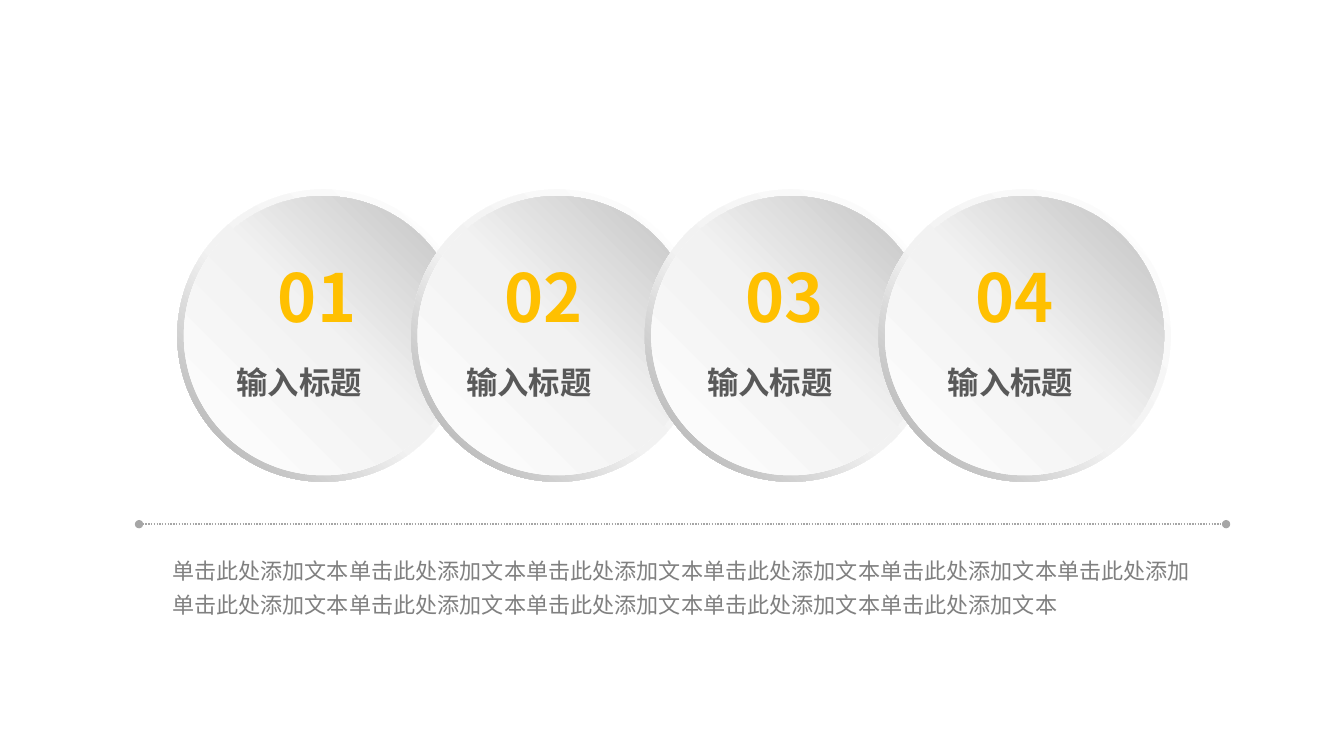
from copy import deepcopy
from dataclasses import dataclass

from lxml.etree import SubElement
from pptx import Presentation
from pptx.dml.color import RGBColor
from pptx.enum.dml import MSO_LINE
from pptx.enum.shapes import MSO_CONNECTOR, MSO_SHAPE
from pptx.enum.text import MSO_AUTO_SIZE
from pptx.oxml.ns import qn
from pptx.util import Inches, Pt


@dataclass(frozen=True)
class Theme:
    font: str = "Noto Sans CJK SC"
    number: str = "FFC000"
    label: str = "595959"
    body: str = "808080"
    rule: str = "A6A6A6"
    rim: tuple = ((0, "FFFFFF"), (0.55, "F2F2F2"), (1, "A6A6A6"))
    face: tuple = ((0, "FFFFFF"), (0.51, "F2F2F2"), (1, "BFBFBF"))
    number_size: float = 47.4
    label_size: float = 22.4
    body_size: float = 15.8


THEME = Theme()
DISC = 2.9
DISC_STEP = 2.32
STEPS = [
    ("01", "输入标题", 0.9, 0.49),
    ("02", "输入标题", 0.83, 0.45),
    ("03", "输入标题", 0.9, 0.52),
    ("04", "输入标题", 0.86, 0.59),
]
PHRASE = "单击此处添加文本"
BODY = [PHRASE * 5 + "单击此处添加", PHRASE * 5]


def add_round(group, kind, box, stops, angle):
    disc = group.shapes.add_shape(kind, *map(Inches, box))
    disc.shadow.inherit = False
    disc.line.fill.background()
    disc.fill.gradient()
    stop_list = disc.element.spPr.find(".//" + qn("a:gsLst"))
    stop_list.insert(1, deepcopy(stop_list[0]))
    for stop, (position, color) in zip(disc.fill.gradient_stops, stops):
        stop.position = position
        stop.color.rgb = RGBColor.from_string(color)
    disc.fill.gradient_angle = angle
    return disc


def add_text(slide, box, lines, size, color, bold=False, spacing=1.0, wrap=True):
    frame = slide.shapes.add_textbox(*map(Inches, box)).text_frame
    frame.word_wrap = wrap
    frame.auto_size = MSO_AUTO_SIZE.SHAPE_TO_FIT_TEXT
    for index, line in enumerate(lines):
        paragraph = frame.add_paragraph() if index else frame.paragraphs[0]
        paragraph.line_spacing = spacing
        run = paragraph.add_run()
        run.text = line
        run.font.size = Pt(size)
        run.font.bold = bold
        run.font.name = THEME.font
        run.font.color.rgb = RGBColor.from_string(color)
        SubElement(run.font._element, qn("a:ea"), typeface=THEME.font)


def add_disc(slide, left, top, size):
    group = slide.shapes.add_group_shape()
    rim = add_round(group, MSO_SHAPE.DONUT, (left, top, size, size), THEME.rim, 225)
    rim.adjustments[0] = 0.049
    inset = 0.065
    face_size = size - 2 * inset
    face = (left + inset, top + inset, face_size, face_size)
    add_round(group, MSO_SHAPE.OVAL, face, THEME.face, 45)


def add_caption(slide, left, top, step):
    number, label, number_offset, label_offset = step
    add_text(slide, (left + number_offset, top + 0.61, 1.02, 0.9), [number],
             THEME.number_size, THEME.number, bold=True, wrap=False)
    add_text(slide, (left + label_offset, top + 1.58, 1.8, 0.57), [label],
             THEME.label_size, THEME.label, bold=True, spacing=1.25)


def add_steps(slide, left, top):
    lefts = [left + index * DISC_STEP for index in range(len(STEPS))]
    for disc_left in lefts:
        add_disc(slide, disc_left, top, DISC)
    for disc_left, step in zip(lefts, STEPS):
        add_caption(slide, disc_left, top, step)


def add_description(slide, left, top, width):
    add_text(slide, (left + 0.23, top + 0.2, 10.45, 0.79), BODY,
             THEME.body_size, THEME.body, spacing=1.3)
    rule = slide.shapes.add_connector(
        MSO_CONNECTOR.STRAIGHT, Inches(left), Inches(top), Inches(left + width), Inches(top))
    rule.line.color.rgb = RGBColor.from_string(THEME.rule)
    rule.line.width = Pt(1)
    rule.line.dash_style = MSO_LINE.ROUND_DOT
    properties = rule.element.spPr
    outline = properties.find(qn("a:ln"))
    for end in ("a:headEnd", "a:tailEnd"):
        SubElement(outline, qn(end), type="oval")
    SubElement(properties, qn("a:effectLst"))


def main():
    deck = Presentation()
    deck.slide_width = Inches(13.34)
    deck.slide_height = Inches(7.5)
    slide = deck.slides.add_slide(deck.slide_layouts[6])
    add_steps(slide, 1.76, 1.88)
    add_description(slide, 1.38, 5.2, 10.79)
    deck.save("out.pptx")


if __name__ == "__main__":
    main()
